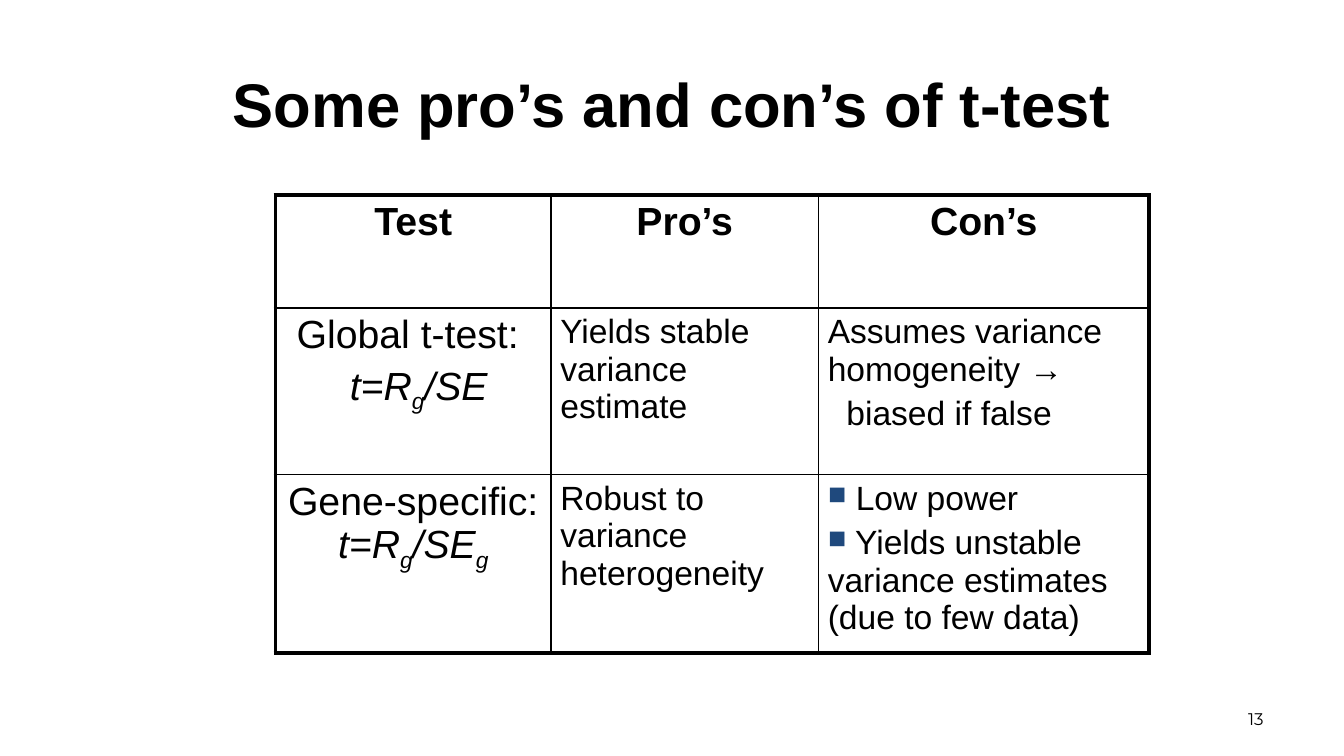
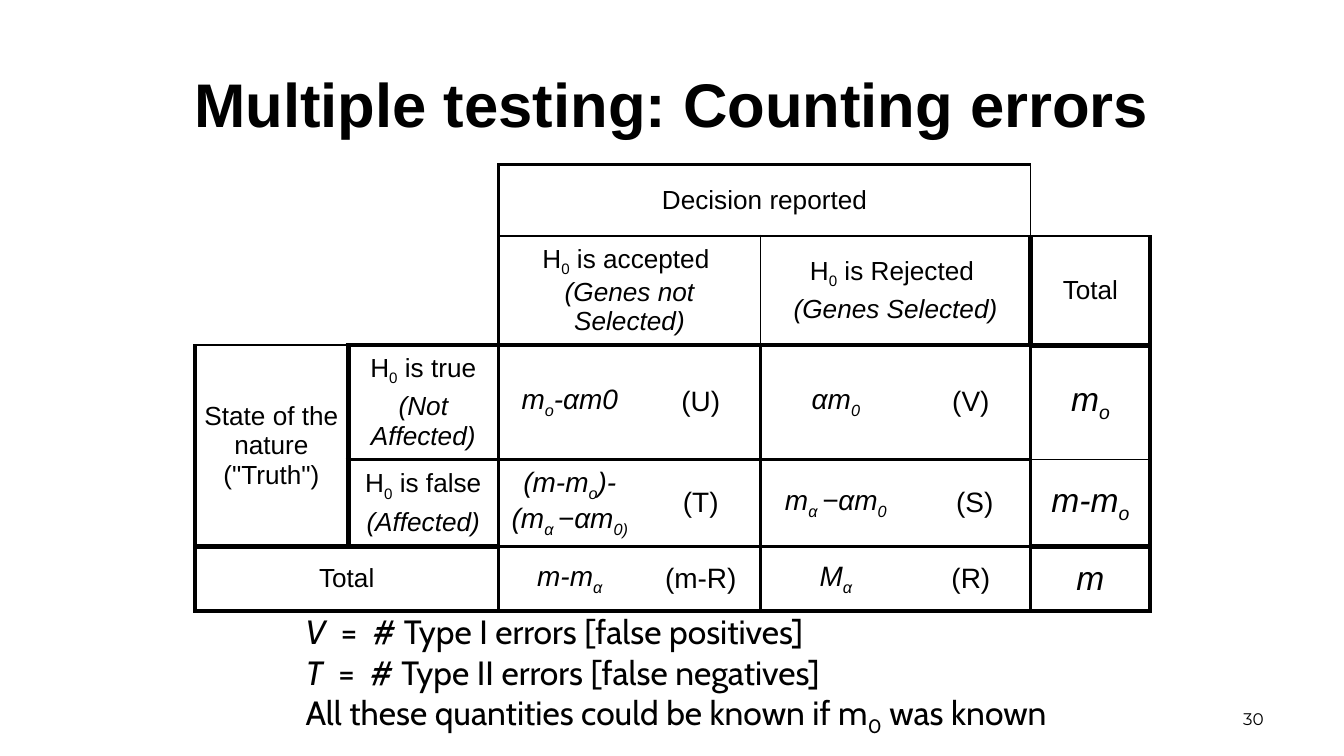
from lxml.etree import SubElement
from pptx import Presentation
from pptx.dml.color import RGBColor
from pptx.enum.text import MSO_ANCHOR, MSO_AUTO_SIZE, PP_ALIGN
from pptx.oxml.ns import qn
from pptx.util import Inches, Pt

BLACK = RGBColor(0x00, 0x00, 0x00)
BULLET_BLUE = RGBColor(0x1F, 0x49, 0x7D)
CENTER, LEFT, RIGHT = PP_ALIGN.CENTER, PP_ALIGN.LEFT, PP_ALIGN.RIGHT
TOP, MIDDLE = MSO_ANCHOR.TOP, MSO_ANCHOR.MIDDLE


def write(frame, text, size, align=LEFT, font="Arial", bold=False, gap=0.2):
    """Fill a frame: | parts paragraphs, *italic*, _subscript_, \\n breaks a line."""
    for index, line in enumerate(text.split("|")):
        para = frame.add_paragraph() if index else frame.paragraphs[0]
        para.alignment = align
        if index:
            para.space_before = Pt(size * gap)
        for slant, part in enumerate(line.split("*")):
            for depth, piece in enumerate(part.split("_")):
                for row, words in enumerate(piece.split("\n")):
                    if row:
                        para.add_line_break()
                        SubElement(para._p[-1], qn("a:rPr"), sz=str(size * 100))
                    if not words:
                        continue
                    span = para.add_run()
                    span.text = words
                    span.font.name, span.font.size = font, Pt(size)
                    span.font.bold, span.font.italic = bold, slant % 2 == 1
                    span.font.color.rgb = BLACK
                    if depth % 2:
                        span._r.get_or_add_rPr().set("baseline", "-25000")


def add_grid(page, left, top, columns, rows, anchor, cells):
    """Add a table; borders of a cell are widths for left, top, right, bottom."""
    frame = page.shapes.add_table(len(rows), len(columns), left, top,
                                  Inches(sum(columns)), Inches(sum(rows)))
    table = frame.table
    table.first_row = table.horz_banding = False
    for column, size in zip(table.columns, columns):
        column.width = Inches(size)
    for row, size in zip(table.rows, rows):
        row.height = Inches(size)
    for row, col, down, across, text, size, align, borders in cells:
        cell = table.cell(row, col)
        if down * across > 1:
            cell.merge(table.cell(row + down - 1, col + across - 1))
        cell.vertical_anchor = anchor
        cell.margin_left = cell.margin_right = Inches(0.07)
        cell.margin_top = cell.margin_bottom = Inches(0.04)
        write(cell.text_frame, text, size, align, bold=text in HEADINGS)
        for side, points in zip("LTRB", borders):
            line = SubElement(cell._tc.get_or_add_tcPr(), qn(f"a:ln{side}"), w=str(Pt(points)))
            if points:
                paint = SubElement(line, qn("a:solidFill"))
                SubElement(paint, qn("a:srgbClr"), val=str(BLACK))
            else:
                SubElement(line, qn("a:noFill"))
    for cell in table.iter_cells():
        cell.fill.background()
    return table


deck = Presentation()
deck.slide_width, deck.slide_height = Inches(10), Inches(5.625)
unit = deck.slide_width // 400  # the slide is a grid of 400 by 225 units
HEADINGS = ("Test", "Pro’s", "Con’s")

# Title and page number on both slides
pages = []
for title, number in (("Some pro’s and con’s of t-test", "13"),
                      ("Multiple testing: Counting errors", "30")):
    page = deck.slides.add_slide(deck.slide_layouts[5])
    pages.append(page)
    box = page.shapes.title
    box.left, box.top, box.width, box.height = 20 * unit, 15 * unit, 360 * unit, 31 * unit
    box.text_frame.vertical_anchor = MIDDLE
    box.text_frame.auto_size = MSO_AUTO_SIZE.NONE
    write(box.text_frame, title, 33, CENTER, bold=True)
    box = page.shapes.add_textbox(287 * unit, 208 * unit, 93 * unit, 12 * unit)
    box.text_frame.word_wrap = True
    box.text_frame.vertical_anchor = MIDDLE
    write(box.text_frame, number, 9, RIGHT, "Montserrat")
tests_page, errors_page = pages

# Slide 1: pros and cons, heavy outside and thin inside
comparison = (
    HEADINGS,
    ("Global t-test: | *t=R_g_/SE*", "Yields stable variance estimate",
     "Assumes variance homogeneity →|  biased if false"),
    ("Gene-specific: *t=R_g_/SE_g_*", "Robust to variance heterogeneity",
     " Low power| Yields unstable variance estimates \n(due to few data)"),
)
cells = []
for row, texts in enumerate(comparison):
    for col, text in enumerate(texts):
        is_label = row == 0 or col == 0
        borders = [2.25 if outer else 1 for outer in (col == 0, row == 0, col == 2, row == 2)]
        cells.append((row, col, 1, 1, text, 21 if is_label else 18,
                      CENTER if is_label else LEFT, borders))
table = add_grid(tests_page, 82 * unit, 58 * unit, (2.05, 1.99, 2.46),
                 (0.84, 1.24, 1.33), TOP, cells)

# Square bullets in the last cell
for para in table.cell(2, 2).text_frame.paragraphs:
    properties = para._p.get_or_add_pPr()
    SubElement(SubElement(properties, qn("a:buClr")), qn("a:srgbClr"), val=str(BULLET_BLUE))
    SubElement(properties, qn("a:buSzPct"), val="75000")
    SubElement(properties, qn("a:buChar"), char="■")

# Slide 2: headings of the error table
cells = [
    (0, 0, 1, 2, "", 14, CENTER, (0, 0, 1.5, 0)),
    (0, 2, 1, 4, "Decision reported", 14, CENTER, (1.5, 1.5, 1, 1.5)),
    (0, 6, 1, 1, "", 14, CENTER, (1, 0, 0, 1)),
    (1, 0, 1, 2, "", 14, CENTER, (0, 0, 2.25, 1)),
    (1, 2, 1, 2, "H_0_ is accepted \n*(Genes not Selected)*", 14, CENTER, (2.25, 1.5, 1, 2.25)),
    (1, 4, 1, 2, "H_0_ is Rejected |*(Genes Selected)*", 14, CENTER, (1, 1.5, 3, 2.25)),
    (1, 6, 1, 1, "Total", 14, CENTER, (3, 1, 2.25, 3)),
    (2, 0, 2, 1, "State of the nature (\"Truth\")", 14, CENTER, (2.25, 1, 3, 3)),
    (2, 1, 1, 1, "H_0_ is true|*(Not Affected)*", 14, CENTER, (3, 2.25, 2.25, 2.25)),
    (3, 1, 1, 1, "H_0_ is false|*(Affected)*", 14, CENTER, (3, 2.25, 2.25, 3)),
    (4, 0, 1, 2, "Total", 14, CENTER, (2.25, 3, 2.25, 2.25)),
]

# Counts: formula and symbol twice, then the row total
counts = (
    ("*m_o_-αm0*", "(U)", "*αm_0_*", "(V)", "*m_o_*", (2.25, 3, 2.25, 1)),
    ("*(m-m_o_)-\n(m_α _−αm_0)_*", "(T)", "*m_α _−αm_0_*", " (S)", "*m-m_o_*", (2.25, 1, 2.25, 3)),
    ("*m-m_α_*", "(m-R)", "*M_α_*", "(R)", "*m*", (2.25, 3, 2.25, 2.25)),
)
for row, (*values, total, total_borders) in enumerate(counts, 2):
    for col, text in enumerate(values, 2):
        borders = (0, 2.25, 2.25, 2.25) if col % 2 else (2.25, 2.25, 0, 2.25)
        cells.append((row, col, 1, 1, text, 15, CENTER, borders))
    cells.append((row, 6, 1, 1, total, 18, CENTER, total_borders))
add_grid(errors_page, 58 * unit, 49 * unit, (1.14, 1.12, 1.06, 0.89, 1.12, 0.89, 0.89),
         (0.53, 0.57, 0.8, 0.58, 0.48), MIDDLE, cells)

# Explanation under the table
box = errors_page.shapes.add_textbox(87 * unit, 180 * unit, 253 * unit, 40 * unit)
box.text_frame.word_wrap = True
write(box.text_frame, "*V  *=  # Type I errors [false positives]|"
      "*T  *=  # Type II errors [false negatives]|"
      "All these quantities could be known if m_0_ was known", 18, font="Cabin", gap=0)

deck.save("out.pptx")
